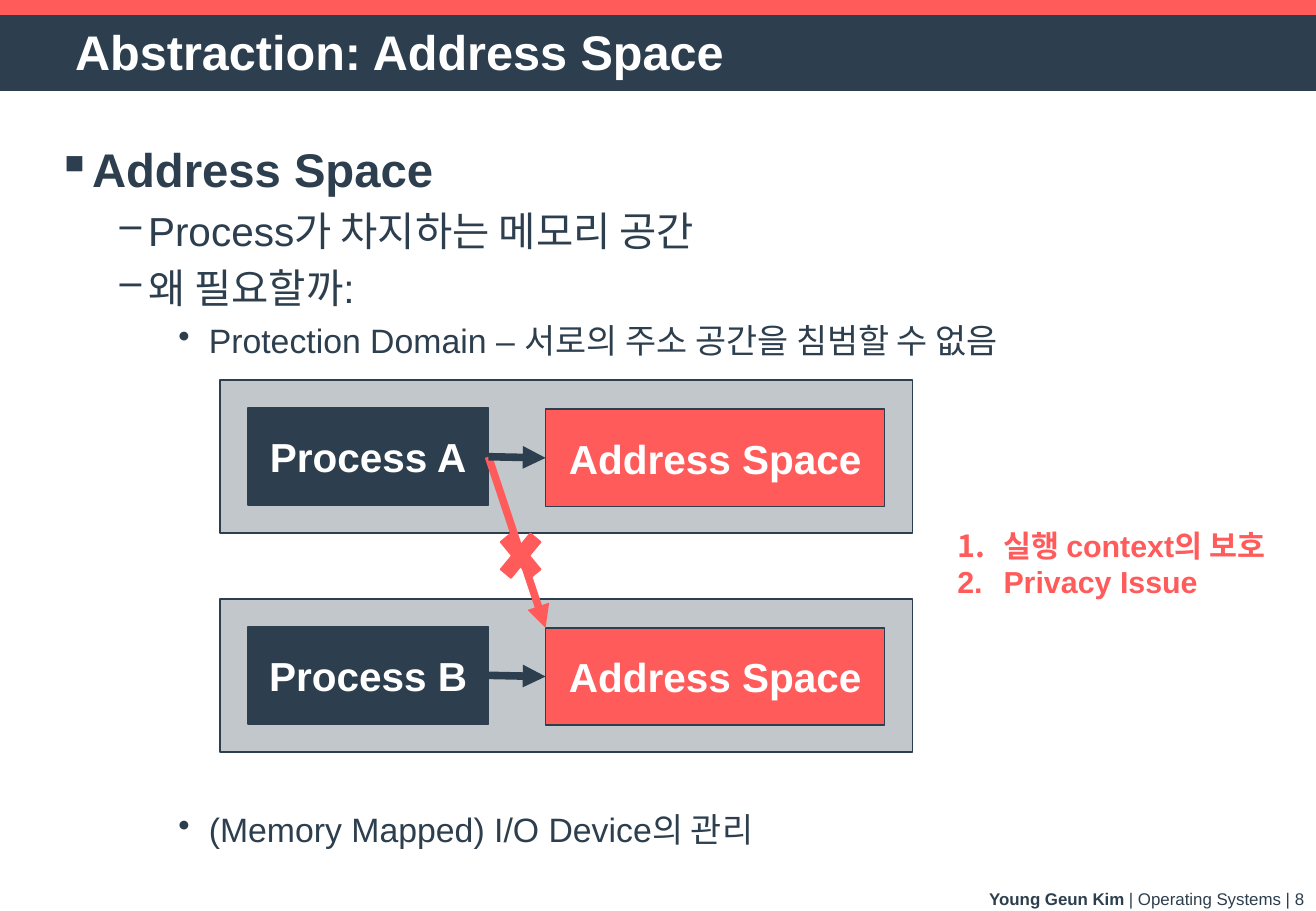
from lxml import etree
from pptx import Presentation
from pptx.dml.color import RGBColor
from pptx.enum.shapes import MSO_CONNECTOR, MSO_SHAPE
from pptx.enum.text import MSO_ANCHOR, PP_ALIGN
from pptx.oxml.ns import qn
from pptx.util import Inches, Pt

NAVY = RGBColor(0x2D, 0x3F, 0x4E)
CORAL = RGBColor(0xFF, 0x5B, 0x5B)
WHITE = RGBColor(0xFF, 0xFF, 0xFF)
RECT = MSO_SHAPE.RECTANGLE
CROSS = MSO_SHAPE.MATH_MULTIPLY
LINE = MSO_CONNECTOR.STRAIGHT
MIDDLE = MSO_ANCHOR.MIDDLE
CENTER, RIGHT = PP_ALIGN.CENTER, PP_ALIGN.RIGHT

TITLE = "Abstraction: Address Space"
FOOTER = [("Young Geun Kim ", True), ("| Operating Systems | 8", False)]
BODY = [
    ("Address Space", 0, 10),
    ("Process가 차지하는 메모리 공간", 1, 5),
    ("왜 필요할까:", 1, 5),
    ("Protection Domain – 서로의 주소 공간을 침범할 수 없음", 2, 5),
    ("(Memory Mapped) I/O Device의 관리", 2, 266),
]
LEVELS = [("▪", 0.25, 28, True), ("‒", 0.75, 24, False), ("•", 1.25, 20, False)]
REASONS = ["실행 context의 보호", "Privacy Issue"]
ROWS = ["Process A", "Process B"]
SPACE = "Address Space"
TOP, STEP = 3.13, 1.8

deck = Presentation()
deck.slide_width, deck.slide_height = Inches(10.83), Inches(7.5)
slide = deck.slides.add_slide(deck.slide_layouts[6])
shapes = slide.shapes


def box(*spot):
    frame = shapes.add_textbox(*map(Inches, spot)).text_frame
    frame.word_wrap = True
    return frame


def write(para, text, size, color, bold=True):
    run = para.add_run()
    run.text = text
    style = {"name": "Arial", "size": Pt(size), "bold": bold}
    for key, value in style.items():
        setattr(run.font, key, value)
    run.font.color.rgb = color


def mark(para, indent, hang, tag, **attrs):
    props = para._p.get_or_add_pPr()
    props.set("marL", str(Inches(indent)))
    props.set("indent", str(-Inches(hang)))
    etree.SubElement(props, qn("a:" + tag), attrs)


def block(kind, spot, fill, edge, text=None, alpha=None):
    shape = shapes.add_shape(kind, *map(Inches, spot))
    shape.shadow.inherit = False
    shape.fill.solid()
    shape.fill.fore_color.rgb = fill
    shape.line.color.rgb = edge
    shape.line.width = Pt(1)
    if alpha:
        tint = shape._element.spPr.find(qn("a:solidFill"))[0]
        etree.SubElement(tint, qn("a:alpha"), val=str(alpha * 1000))
    if text:
        frame = shape.text_frame
        frame.vertical_anchor = MIDDLE
        para = frame.paragraphs[0]
        para.alignment = CENTER
        write(para, text, 24, WHITE)
    return shape


def arrow(start, end, color, side=None):
    link = shapes.add_connector(
        LINE, start.left + start.width, start.top + start.height // 2,
        end.left, end.top)
    link.begin_connect(start, 3)
    if side is not None:
        link.end_connect(end, side)
    link.line.color.rgb = color
    link.line.width = Pt(4.5)
    etree.SubElement(link.line._get_or_add_ln(), qn("a:tailEnd"), type="triangle")
    etree.SubElement(link._element.spPr, qn("a:effectLst"))


block(RECT, (0, 0, 10.83, 0.56), CORAL, CORAL)
block(RECT, (0, 0.13, 10.83, 0.61), NAVY, NAVY)

foot = box(6.7, 7.27, 4.13, 0.23).paragraphs[0]
foot.alignment = RIGHT
for text, bold in FOOTER:
    write(foot, text, 10, NAVY, bold)

head = box(0.52, 0.19, 9.34, 0.46)
head.vertical_anchor = MIDDLE
write(head.paragraphs[0], TITLE, 28.8, WHITE)

body = box(0.37, 1.11, 10.26, 6.16)
for i, (text, level, gap) in enumerate(BODY):
    para = body.add_paragraph() if i else body.paragraphs[0]
    sign, indent, size, bold = LEVELS[level]
    para.level = level
    para.space_before = Pt(gap)
    mark(para, indent, 0.25, "buChar", char=sign)
    write(para, text, size, NAVY, bold)

pairs = []
for i, name in enumerate(ROWS):
    y = TOP + i * STEP
    block(RECT, (1.81, y, 5.7, 1.26), NAVY, NAVY, alpha=29)
    proc = block(RECT, (2.04, y + 0.23, 1.98, 0.8), NAVY, NAVY, name)
    area = block(RECT, (4.49, y + 0.24, 2.79, 0.8), CORAL, NAVY, SPACE)
    pairs.append((proc, area))

(first, home), (second, other) = pairs
arrow(second, other, NAVY, 1)
arrow(first, other, CORAL)
arrow(first, home, NAVY, 1)
block(CROSS, (4.05, 4.29, 0.47, 0.57), CORAL, CORAL)

notes = box(7.78, 4.29, 3.05, 0.71)
for i, text in enumerate(REASONS):
    para = notes.add_paragraph() if i else notes.paragraphs[0]
    mark(para, 0.38, 0.38, "buAutoNum", type="arabicPeriod")
    write(para, text, 18, CORAL)

deck.save("out.pptx")
